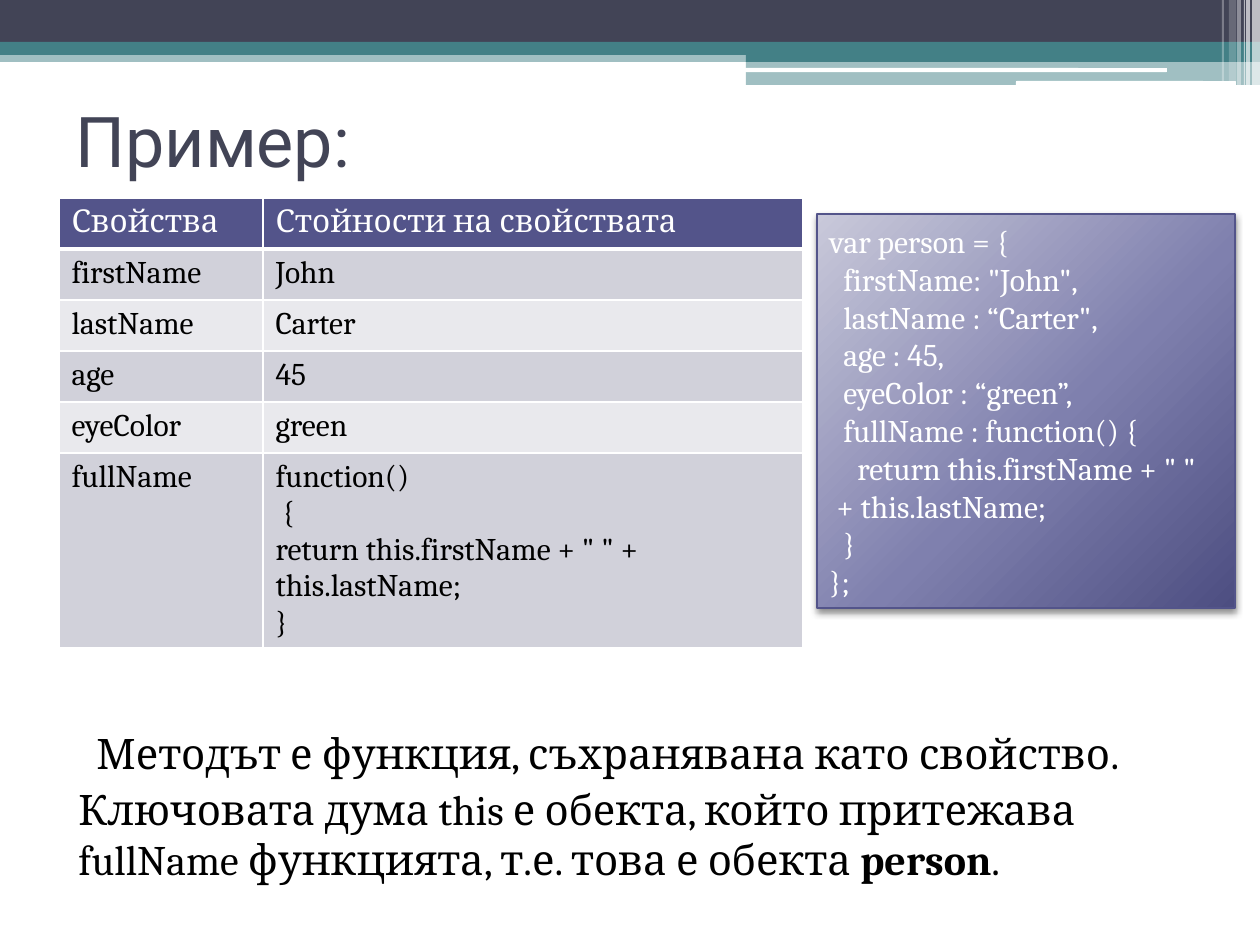
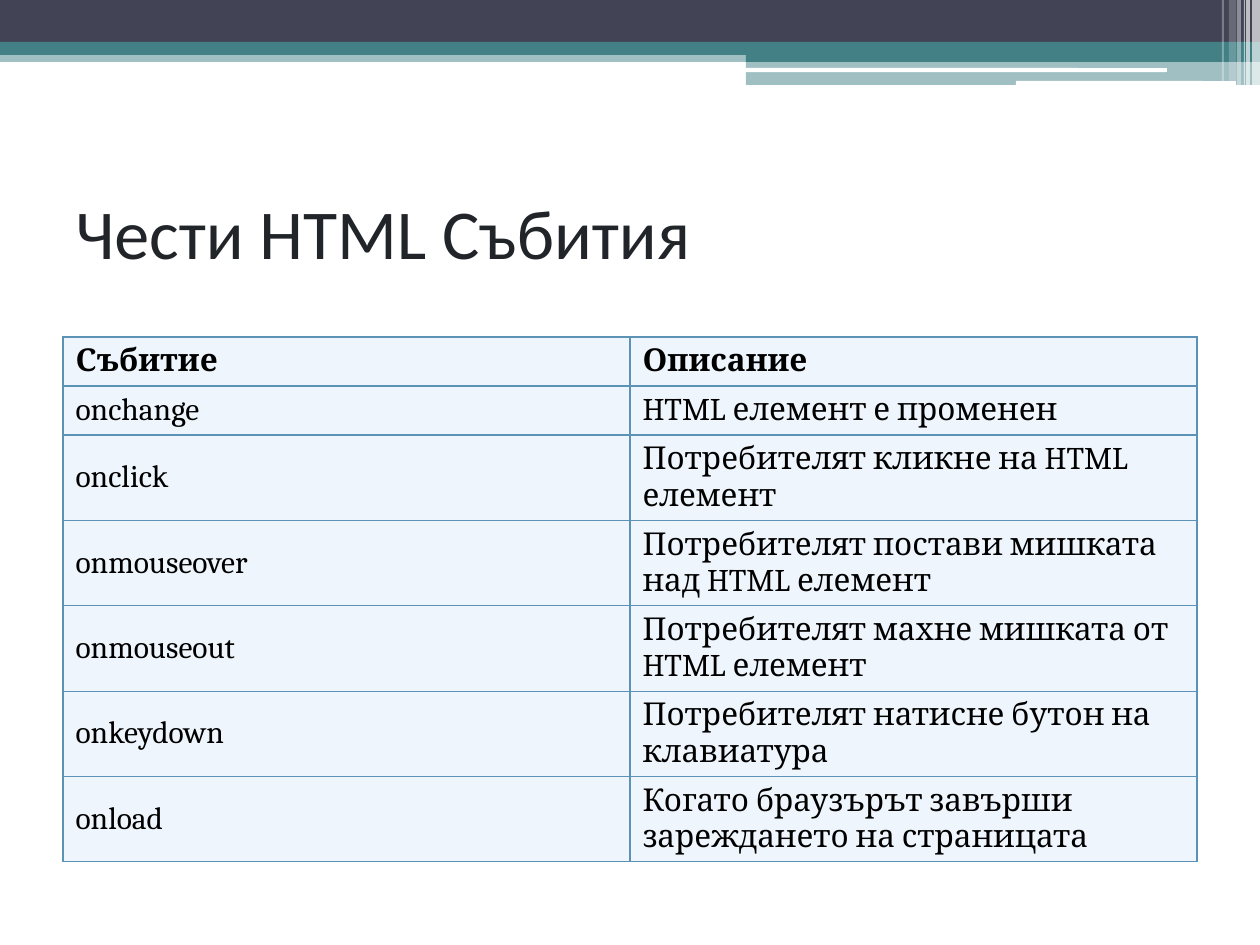
from dataclasses import dataclass

from lxml.etree import SubElement
from pptx import Presentation
from pptx.dml.color import RGBColor
from pptx.enum.shapes import MSO_SHAPE
from pptx.enum.text import MSO_ANCHOR, MSO_AUTO_SIZE, PP_ALIGN
from pptx.oxml import parse_xml
from pptx.oxml.ns import nsdecls, qn
from pptx.util import Emu, Inches, Pt


@dataclass(frozen=True)
class Theme:
    dark: str = "424456"
    teal: str = "438086"
    white: str = "FFFFFF"
    black: str = "000000"
    ink: str = "212529"
    violet: str = "53548A"
    row_odd: str = "D1D1DA"
    row_even: str = "E9E9ED"
    grid: str = "5C92B5"
    pale: str = "EEF5FC"
    code_stops: tuple = ((0, "C9C9DA"), (55, "7F80AE"), (100, "4D4E81"))
    body_font: str = "Cambria"
    title_size: int = 40
    note_size: int = 24
    table_size: int = 18


T = Theme()


def px(n):
    """Pixels to EMU, 126 pixels to the inch."""
    return Emu(round(n * 914400 / 126))


def box_emu(box):
    return [px(n) for n in box]


def add_run(p, text, size, color, font=T.body_font, bold=False):
    r = p.add_run()
    r.text = text
    r.font.size, r.font.name, r.font.bold = Pt(size), font, bold
    r.font.color.rgb = RGBColor.from_string(color)


def add_block(s, box, color, opacity=100, kind=MSO_SHAPE.RECTANGLE):
    sp = s.shapes.add_shape(kind, *box_emu(box))
    sp.shadow.inherit = False
    sp.line.fill.background()
    sp.fill.solid()
    sp.fill.fore_color.rgb = RGBColor.from_string(color)
    if opacity < 100:
        clr = sp.element.spPr.find(".//" + qn("a:srgbClr"))
        SubElement(clr, qn("a:alpha"), val=str(opacity * 1000))
    return sp


def add_header_bands(s, layout):
    """Draw the header once and move it to the layout, behind the title."""
    blocks = [add_block(s, box, color, opacity) for box, color, opacity in (
        ((0, 50, 1260, 12), T.teal, 50),
        ((0, 0, 1260, 42), T.dark, 100),
        ((0, 42, 1260, 13), T.teal, 100),
        ((746, 49, 514, 13), T.teal, 100),
        ((746, 61, 514, 24), T.teal, 50),
    )]
    # White rules
    for box in ((745, 68, 422, 4), (1016, 81, 220, 5)):
        blocks.append(add_block(s, box, T.white, kind=MSO_SHAPE.ROUNDED_RECTANGLE))
    # Translucent stripes at the right edge
    for x, w, h, opacity in ((1252, 8, 85, 65), (1246, 4, 85, 65), (1244, 1, 85, 60),
                             (1237, 4, 85, 40), (1229, 7, 81, 20), (1222, 2, 81, 30)):
        blocks.append(add_block(s, (x, 0, w, h), T.white, opacity))
    for ph in list(layout.placeholders):
        if ph.placeholder_format.idx != 0:
            ph.element.getparent().remove(ph.element)
    for i, sp in enumerate(blocks):
        layout.shapes.element.insert(2 + i, sp.element)


def add_title(s, box, text, font, color):
    sp = s.shapes.title
    sp.left, sp.top, sp.width, sp.height = box_emu(box)
    tf = sp.text_frame
    tf.word_wrap, tf.auto_size = True, MSO_AUTO_SIZE.NONE
    tf.vertical_anchor = MSO_ANCHOR.MIDDLE
    p = tf.paragraphs[0]
    p.alignment = PP_ALIGN.LEFT
    add_run(p, text, T.title_size, color, font)


def add_note(s, box, runs):
    tf = s.shapes.add_textbox(*box_emu(box)).text_frame
    tf.word_wrap = True
    for text, bold in runs:
        add_run(tf.paragraphs[0], text, T.note_size, T.black, bold=bold)


def set_borders(cell, color, width, bottom=None):
    tcPr = cell._tc.get_or_add_tcPr()
    for side in "LRTB":
        pt = bottom if side == "B" and bottom else width
        ln = SubElement(tcPr, qn("a:ln" + side), w=str(Pt(pt)))
        fill = SubElement(ln, qn("a:solidFill"))
        SubElement(fill, qn("a:srgbClr"), val=color)


def add_grid(s, left, top, cols, heights, rows, style):
    """Add a table; style(row) gives fill, text colour, bold, border, anchor."""
    box = (left, top, sum(cols), sum(heights))
    table = s.shapes.add_table(len(rows), len(cols), *box_emu(box)).table
    table.horz_banding = False
    for col, w in zip(table.columns, cols):
        col.width = px(w)
    for i, (row, h, values) in enumerate(zip(table.rows, heights, rows)):
        row.height = px(h)
        fill, color, bold, border, anchor = style(i)
        for cell, value in zip(row.cells, values):
            set_borders(cell, *border)
            cell.fill.solid()
            cell.fill.fore_color.rgb = RGBColor.from_string(fill)
            cell.vertical_anchor = anchor
            tf = cell.text_frame
            for j, line in enumerate(value.split("\n")):
                p = tf.add_paragraph() if j else tf.paragraphs[0]
                add_run(p, line, T.table_size, color, bold=bold)


def property_style(i):
    if i == 0:
        return T.violet, T.white, False, (T.white, 1, 3), MSO_ANCHOR.TOP
    fill = T.row_odd if i % 2 else T.row_even
    return fill, T.black, False, (T.white, 1), MSO_ANCHOR.TOP


def event_style(i):
    return T.pale, T.black, i == 0, (T.grid, 0.75), MSO_ANCHOR.MIDDLE


def add_code_panel(s, box, lines, tab):
    """Gradient panel; each line is (indent in pixels, text)."""
    sp = add_block(s, box, T.violet)
    sp.line.color.rgb = RGBColor.from_string(T.violet)
    sp.line.width = Pt(0.75)
    # Gradient fill
    stops = "".join(f'<a:gs pos="{pos * 1000}"><a:srgbClr val="{c}"/></a:gs>'
                    for pos, c in T.code_stops)
    spPr = sp.element.spPr
    spPr.replace(spPr.find(qn("a:solidFill")), parse_xml(
        f'<a:gradFill {nsdecls("a")} rotWithShape="1"><a:gsLst>{stops}</a:gsLst>'
        '<a:path path="circle"><a:fillToRect l="-40000" t="-90000" r="140000" b="190000"/>'
        '</a:path></a:gradFill>'))
    # Soft shadow below
    shadow = SubElement(spPr.find(qn("a:effectLst")), qn("a:outerShdw"), blurRad=str(Pt(4)),
                        dist=str(Pt(2)), dir="5400000", rotWithShape="0")
    clr = SubElement(shadow, qn("a:srgbClr"), val=T.black)
    SubElement(clr, qn("a:alpha"), val="45000")
    # Code lines
    tf = sp.text_frame
    tf.word_wrap = True
    tf.vertical_anchor = MSO_ANCHOR.MIDDLE
    for i, (indent, text) in enumerate(lines):
        p = tf.add_paragraph() if i else tf.paragraphs[0]
        p.alignment = PP_ALIGN.LEFT
        pPr = p._p.get_or_add_pPr()
        pPr.set("marL", "0")
        pPr.set("indent", str(px(indent)))
        if "\t" in text:
            tabs = SubElement(pPr, qn("a:tabLst"))
            SubElement(tabs, qn("a:tab"), pos=str(px(tab)), algn="l")
        add_run(p, text, T.table_size, T.white)


def build_example(s):
    add_title(s, (63, 66, 1134, 147), "Пример:", "Roboto", T.dark)
    add_grid(s, 59, 198, (204, 540), [51] * 5 + [194], (
        ("Свойства", "Стойности на свойствата"),
        ("firstName", "John"),
        ("lastName", "Carter"),
        ("age", "45"),
        ("eyeColor", "green"),
        ("fullName", 'function()\n {\nreturn this.firstName + " " + this.lastName;\n}'),
    ), property_style)
    add_note(s, (84, 721, 1091, 63),
             [("Методът е функция, съхранявана като свойство.", False)])
    add_note(s, (66, 777, 1091, 115), [
        ("Ключовата дума this е обекта, който притежава fullName функцията, "
         "т.е. това е обекта ", False),
        ("person", True), (".", False)])
    add_code_panel(s, (817, 214, 418, 394), (
        (0, "var person = {"),
        (14, 'firstName: "John",'),
        (14, 'lastName : “Carter",'),
        (14, "age\t: 45,"),
        (14, "eyeColor : “green”,"),
        (14, "fullName : function() {"),
        (28, 'return this.firstName + " "'),
        (7, "+ this.lastName;"),
        (14, "}"),
        (0, "};"),
    ), tab=106)


def build_events(s):
    add_title(s, (63, 158, 1134, 147), "Чести HTML Събития", "Calibri", T.ink)
    add_grid(s, 63, 337, (567, 567), [49] * 2 + [85] * 5, (
        ("Събитие", "Описание"),
        ("onchange", "HTML елемент е променен"),
        ("onclick", "Потребителят кликне на HTML елемент"),
        ("onmouseover", "Потребителят постави мишката над HTML елемент"),
        ("onmouseout", "Потребителят махне мишката от HTML елемент"),
        ("onkeydown", "Потребителят натисне бутон на клавиатура"),
        ("onload", "Когато браузърът завърши зареждането на страницата"),
    ), event_style)


prs = Presentation()
prs.slide_width, prs.slide_height = Inches(10), Inches(7.5)
title_only = prs.slide_layouts[5]
first, second = (prs.slides.add_slide(title_only) for _ in range(2))
add_header_bands(first, title_only)
build_example(first)
build_events(second)
prs.save("out.pptx")
